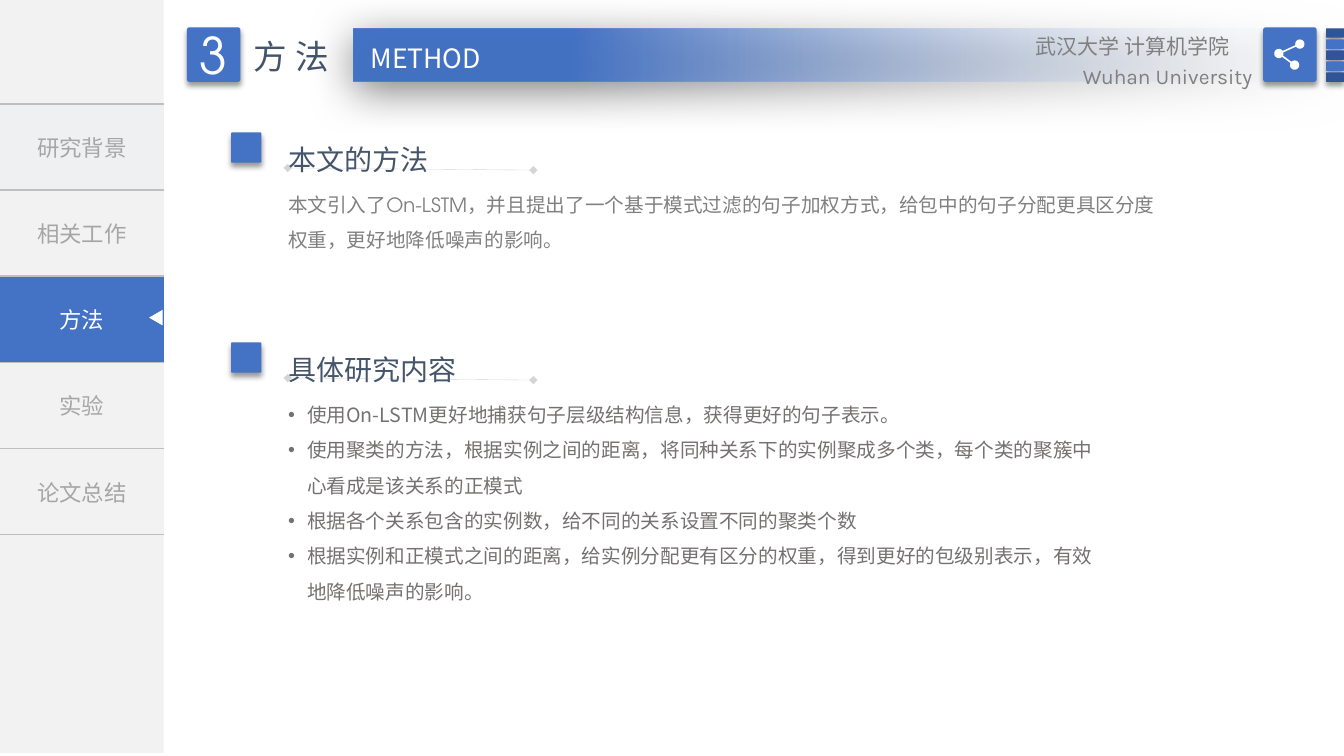
from dataclasses import dataclass
from math import cos, radians, sin

from lxml import etree
from pptx import Presentation
from pptx.dml.color import RGBColor
from pptx.enum.shapes import MSO_CONNECTOR, MSO_SHAPE
from pptx.enum.text import MSO_ANCHOR, MSO_AUTO_SIZE, PP_ALIGN
from pptx.oxml import parse_xml
from pptx.oxml.ns import nsdecls, qn
from pptx.util import Emu, Pt

PX = 9525  # EMU per px, 96 px to the inch
COLORS = {
    "blue": "4472C4", "navy": "2F5597", "slate": "44546A", "white": "FFFFFF",
    "panel": "F2F2F2", "panel_cool": "EFF0F2", "rule": "BFBFBF", "muted": "A6A6A6",
    "gray": "808080", "warm_gray": "767171", "ice": "F7FAFD", "black": "000000",
}
NOTO, ADVENTOR, KARLA = "Noto Sans CJK SC", "TeX Gyre Adventor", "Karla"


@dataclass(frozen=True)
class Style:
    size: int
    color: str
    font: str = NOTO


@dataclass(frozen=True)
class Shadow:
    alpha: int
    blur: int
    dist: int
    angle: int


@dataclass(frozen=True)
class NavItem:
    label: str
    fill: str = "panel"
    color: str = "muted"
    font: str = NOTO


@dataclass(frozen=True)
class Section:
    top: int
    heading: str
    heading_width: int
    body: list[str]
    body_width: int
    body_height: int
    style: Style
    bulleted: bool = False


TILE_SHADOW = Shadow(40, 4, 3, 90)
BAR_SHADOW = Shadow(50, 31, 6, 97)
NAV = [
    NavItem("研究背景", "panel_cool", font=ADVENTOR),
    NavItem("相关工作", font=ADVENTOR),
    NavItem("方法", "blue", "white"),
    NavItem("实验"),
    NavItem("论文总结", font=ADVENTOR),
]
SECTIONS = [
    Section(126, "本文的方法", 154, [
        "本文引入了On-LSTM，并且提出了一个基于模式过滤的句子加权方式，给包中的句子分配更具区分度权重，更好地降低噪声的影响。",
    ], 859, 78, Style(14, "gray", ADVENTOR)),
    Section(326, "具体研究内容", 180, [
        "使用On-LSTM更好地捕获句子层级结构信息，获得更好的句子表示。",
        "使用聚类的方法，根据实例之间的距离，将同种关系下的实例聚成多个类，每个类的聚簇中心看成是该关系的正模式",
        "根据各个关系包含的实例数，给不同的关系设置不同的聚类个数",
        "根据实例和正模式之间的距离，给实例分配更有区分的权重，得到更好的包级别表示，有效地降低噪声的影响。",
    ], 804, 213, Style(14, "warm_gray"), bulleted=True),
]


def rgb(name: str) -> RGBColor:
    return RGBColor.from_string(COLORS[name])


def px(*lengths: float) -> list[Emu]:
    return [Emu(round(n * PX)) for n in lengths]


def format_paragraph(p, style: Style, align=PP_ALIGN.LEFT, spacing: float = 1.0) -> None:
    p.alignment = align
    p.line_spacing = spacing
    for r in p.runs:
        r.font.size = Pt(style.size)
        r.font.name = style.font
        r.font.color.rgb = rgb(style.color)
        ea = etree.SubElement(r.font._element, qn("a:ea"))
        ea.set("typeface", NOTO)


def add_bullet(p) -> None:
    pPr = p._p.get_or_add_pPr()
    pPr.set("marL", str(18 * PX))
    pPr.set("indent", str(-18 * PX))
    etree.SubElement(pPr, qn("a:buFont")).set("typeface", "Arial")
    etree.SubElement(pPr, qn("a:buChar")).set("char", "•")


def add_text(slide, box: tuple, lines: list[str], style: Style, align=PP_ALIGN.LEFT,
             spacing: float = 1.0, wrap: bool = True, bulleted: bool = False) -> None:
    tf = slide.shapes.add_textbox(*px(*box)).text_frame
    tf.word_wrap = wrap
    tf.text = "\n".join(lines)
    for p in tf.paragraphs:
        if bulleted:
            add_bullet(p)
        format_paragraph(p, style, align, spacing)


def add_block(slide, kind, box: tuple, color: str, shadow: Shadow | None = None):
    sp = slide.shapes.add_shape(kind, *px(*box))
    sp.shadow.inherit = False
    sp.fill.solid()
    sp.fill.fore_color.rgb = rgb(color)
    sp.line.fill.background()
    if shadow:
        effects = sp._element.spPr.find(qn("a:effectLst"))
        effects.append(parse_xml(
            f'<a:outerShdw {nsdecls("a")} blurRad="{Pt(shadow.blur)}" dist="{Pt(shadow.dist)}" '
            f'dir="{shadow.angle * 60000}" algn="ctr" rotWithShape="0">'
            f'<a:srgbClr val="{COLORS["black"]}"><a:alpha val="{shadow.alpha * 1000}"/>'
            '</a:srgbClr></a:outerShdw>'))
    return sp


def add_tile(slide, box: tuple, color: str = "blue"):
    sp = add_block(slide, MSO_SHAPE.ROUNDED_RECTANGLE, box, color, TILE_SHADOW)
    sp.adjustments[0] = 0.05
    return sp


def add_nav(slide) -> None:
    add_block(slide, MSO_SHAPE.RECTANGLE, (0, 0, 156, 717), "panel")
    table = slide.shapes.add_table(len(NAV), 1, *px(0, 99, 156, 82 * len(NAV))).table
    table.first_row = table.horz_banding = False
    for row, item in enumerate(NAV):
        cell = table.cell(row, 0)
        cell.text = item.label
        cell.vertical_anchor = MSO_ANCHOR.MIDDLE
        format_paragraph(cell.text_frame.paragraphs[0],
                         Style(16, item.color, item.font), PP_ALIGN.CENTER)
        tcPr = cell._tc.get_or_add_tcPr()
        rule = f'<a:solidFill><a:srgbClr val="{COLORS["rule"]}"/></a:solidFill>'
        for side, paint in zip("LRTB", ["<a:noFill/>"] * 2 + [rule] * 2):
            tcPr.append(parse_xml(
                f'<a:ln{side} {nsdecls("a")} w="{Pt(1)}">{paint}</a:ln{side}>'))
        cell.fill.solid()
        cell.fill.fore_color.rgb = rgb(item.fill)
    add_block(slide, MSO_SHAPE.ISOSCELES_TRIANGLE, (141, 296, 15, 13), "white").rotation = 270


def add_title_bar(slide) -> None:
    bar = add_block(slide, MSO_SHAPE.RECTANGLE, (337, 27, 943, 51), "blue", BAR_SHADOW)
    spPr = bar._element.spPr
    spPr.replace(spPr.find(qn("a:solidFill")), parse_xml(
        f'<a:gradFill {nsdecls("a")} rotWithShape="1"><a:gsLst>'
        f'<a:gs pos="0"><a:srgbClr val="{COLORS["ice"]}"><a:alpha val="0"/></a:srgbClr></a:gs>'
        f'<a:gs pos="78000"><a:srgbClr val="{COLORS["blue"]}"/></a:gs>'
        '</a:gsLst><a:lin ang="10800000" scaled="0"/></a:gradFill>'))
    add_text(slide, (339, 35, 133, 40), ["METHOD"], Style(19, "white"), PP_ALIGN.CENTER, wrap=False)

    number = add_tile(slide, (178, 26, 51, 52))
    tf = number.text_frame
    tf.text = "3"
    tf.word_wrap = False
    tf.vertical_anchor = MSO_ANCHOR.MIDDLE
    format_paragraph(tf.paragraphs[0], Style(36, "white", ADVENTOR), PP_ALIGN.CENTER)


def set_title(slide) -> None:
    title = slide.shapes.title
    title.left, title.top, title.width, title.height = px(232, 29, 100, 48)
    tf = title.text_frame
    tf.text = "方法"
    tf.word_wrap = False
    tf.auto_size = MSO_AUTO_SIZE.NONE
    tf.vertical_anchor = MSO_ANCHOR.TOP
    p = tf.paragraphs[0]
    format_paragraph(p, Style(24, "slate"))
    p.runs[0].font._element.set("spc", "600")


def add_share_icon(slide) -> None:
    """Three dots joined by two bars, drawn as one outline."""
    left, upper, lower = (1218, 51), (1238, 42), (1233, 62)
    arcs = [(left, 46, 326), (upper, 166, 506), (left, 346, 386), (lower, 226, 566)]
    points = []
    for (x, y), start, end in arcs:
        for step in range(25):
            angle = radians(start + (end - start) * step / 24)
            points.append(px(x + 4.4 * cos(angle), y + 4.4 * sin(angle)))
    builder = slide.shapes.build_freeform(*points[0])
    builder.add_line_segments(points[1:], close=True)
    icon = builder.convert_to_shape()
    icon.shadow.inherit = False
    icon.fill.solid()
    icon.fill.fore_color.rgb = rgb("white")
    icon.line.fill.background()


def add_school(slide) -> None:
    for i in range(5):
        add_tile(slide, (1263, 27 + 10.5 * i, 17, 9), ("navy", "blue")[i % 2])
    add_tile(slide, (1203, 26, 51, 52))
    add_share_icon(slide)
    add_text(slide, (952, 27, 228, 32), ["武汉大学 计算机学院"], Style(15, "gray"), PP_ALIGN.RIGHT)
    add_text(slide, (974, 56, 228, 31), ["Wuhan University"], Style(15, "gray", KARLA), PP_ALIGN.RIGHT)


def add_section(slide, s: Section) -> None:
    add_tile(slide, (220, s.top, 29, 29))
    add_text(slide, (265, s.top - 5, s.heading_width, 48), [s.heading], Style(20, "slate"),
             spacing=1.3, wrap=False)
    line = slide.shapes.add_connector(
        MSO_CONNECTOR.STRAIGHT, *px(274, s.top + 34, 508, s.top + 36))
    line.line.width = Pt(0.25)
    line.line.color.rgb = rgb("gray")
    spPr = line._element.spPr
    ln = spPr.find(qn("a:ln"))
    etree.SubElement(ln.find(".//" + qn("a:srgbClr")), qn("a:alpha")).set("val", "33000")
    for end in ("a:headEnd", "a:tailEnd"):
        etree.SubElement(ln, qn(end)).set("type", "diamond")
    etree.SubElement(spPr, qn("a:effectLst"))
    add_text(slide, (265, s.top + 42, s.body_width, s.body_height), s.body, s.style,
             spacing=1.5, bulleted=s.bulleted)


def main() -> None:
    prs = Presentation()
    prs.slide_width, prs.slide_height = px(1280, 720)
    slide = prs.slides.add_slide(prs.slide_layouts.get_by_name("Title Only"))
    add_nav(slide)
    add_title_bar(slide)
    set_title(slide)
    add_school(slide)
    for section in SECTIONS:
        add_section(slide, section)
    prs.save("out.pptx")


if __name__ == "__main__":
    main()
